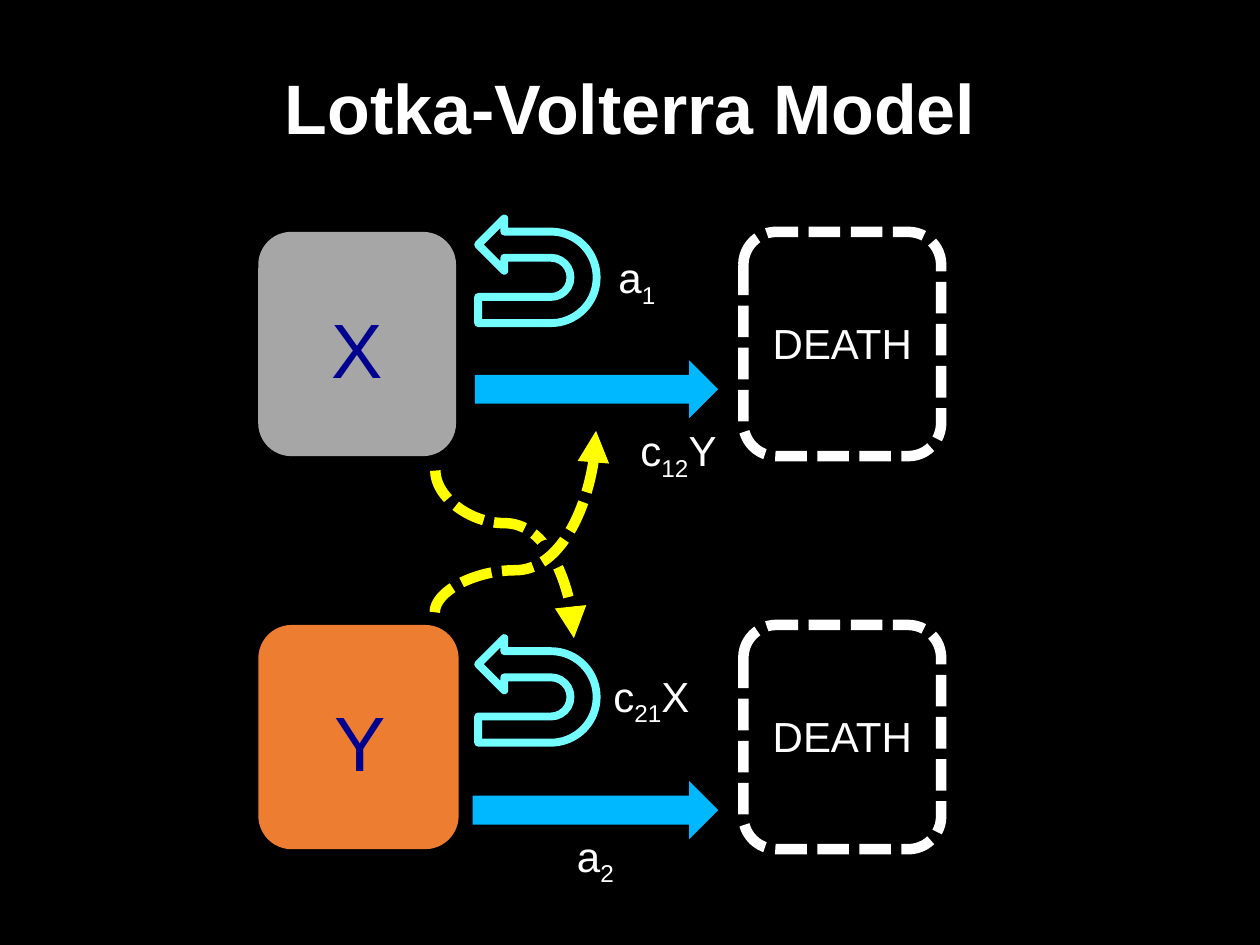
from pptx import Presentation
from pptx.dml.color import RGBColor
from pptx.enum import dml, shapes, text
from pptx.oxml import parse_xml
from pptx.oxml.ns import nsdecls, qn
from pptx.util import Inches, Pt

WHITE, BLACK, NAVY = "FFFFFF", "000000", "000090"
BLUE, CYAN, YELLOW = "00B8FF", "73FDFF", "FFFF00"
BOX_X, DEATH_X, BOX_W, BOX_H = 2.05, 5.9, 1.57, 1.78

# One row per species: name, box top, box width, fill, name left and width
species = [
    ("X", 1.84, 1.57, "A6A6A6", 1.57),
    ("Y", 4.96, 1.59, "ED7D31", 1.61),
]
death_arrows = [(3.77, 2.86, 1.93, 0.46), (3.75, 6.2, 1.95, 0.46)]
growth_arrows = [(3.85, 1.68, 0.83, 0.94), (3.85, 5.01, 0.83, 0.94)]
# Rates as (letter, subscript, factor) and their places
rates = [
    (("a", "1", ""), (4.8, 1.95, 0.51, 0.5)),
    (("a", "2", ""), (4.47, 6.54, 0.51, 0.5)),
    (("c", "12", "Y"), (4.96, 3.32, 0.85, 0.5)),
    (("c", "21", "X"), (4.75, 5.27, 0.84, 0.5)),
]
# Curves before rotation: begin, end, degrees, bend
x_on_y = ((4.67, 3.85), (3.34, 4.95), 270, 0.314)
y_on_x = ((4.81, 4.78), (3.37, 3.5), 90, 0.232)


def rgb(color):
    return RGBColor.from_string(color)


def add_shape(kind, at, fill=None, line=None, width=6, dash=None):
    sp = s.shapes.add_shape(kind, *map(Inches, at))
    sp.shadow.inherit = False
    if fill:
        sp.fill.solid()
        sp.fill.fore_color.rgb = rgb(fill)
    else:
        sp.fill.background()
    if line:
        sp.line.color.rgb = rgb(line)
        sp.line.width = Pt(width)
        sp.line.dash_style = dash
    else:
        sp.line.fill.background()
    return sp


def write(tf, parts, size=24, color=WHITE, bold=False):
    """Write the parts as centred runs; every second part is a subscript."""
    p = tf.paragraphs[0]
    p.alignment = text.PP_ALIGN.CENTER
    for i, part in enumerate(parts):
        if not part:
            continue
        r = p.add_run()
        r.text = part
        r.font.name, r.font.size, r.font.bold = "Arial", Pt(size), bold
        r.font.color.rgb = rgb(color)
        if i % 2:
            r.font._element.set("baseline", "-25000")


def add_text(at, parts, wrap=True, **fmt):
    tf = s.shapes.add_textbox(*map(Inches, at)).text_frame
    tf.word_wrap = wrap
    tf.auto_size = text.MSO_AUTO_SIZE.SHAPE_TO_FIT_TEXT
    write(tf, parts, **fmt)


def add_curve(begin, end, degrees, bend):
    c = s.shapes.add_connector(shapes.MSO_CONNECTOR.CURVE,
                               *map(Inches, begin + end))
    c.line.color.rgb = rgb(YELLOW)
    c.line.width = Pt(6)
    c.line.dash_style = dml.MSO_LINE.SQUARE_DOT
    pr = c._element.spPr
    pr.find(qn("a:xfrm")).set("rot", str(degrees * 60000))
    geom = pr.find(qn("a:prstGeom"))
    for old in list(geom):
        geom.remove(old)
    geom.append(parse_xml(
        f'<a:avLst {nsdecls("a")}><a:gd name="adj1" '
        f'fmla="val {round(bend * 100000)}"/></a:avLst>'))
    pr.find(qn("a:ln")).append(
        parse_xml(f'<a:tailEnd {nsdecls("a")} type="triangle"/>'))
    pr.append(parse_xml(f'<a:effectLst {nsdecls("a")}/>'))


prs = Presentation()
prs.slide_width, prs.slide_height = Inches(10), Inches(7.5)
s = prs.slides.add_slide(prs.slide_layouts[5])
s.background.fill.solid()
s.background.fill.fore_color.rgb = rgb(BLACK)

# Title
title = s.shapes.title
title.left, title.top, title.width, title.height = map(Inches, (0, 0.02, 10, 1.61))
tf = title.text_frame
tf.vertical_anchor = text.MSO_ANCHOR.MIDDLE
tf.margin_top, tf.margin_bottom = Inches(0.09), Inches(0.05)
write(tf, ["Lotka-Volterra Model"], size=40, bold=True)

# Species and their deaths
box = shapes.MSO_SHAPE.ROUNDED_RECTANGLE
for name, top, width, fill, name_w in species:
    add_shape(box, (BOX_X, top, width, BOX_H), fill=fill)
    add_text((BOX_X, top + 0.5, name_w, 0.84), [name], size=44, color=NAVY)
    add_shape(box, (DEATH_X, top, BOX_W, BOX_H), line=WHITE,
              dash=dml.MSO_LINE.SQUARE_DOT)
    add_text((DEATH_X, top + 0.63, BOX_W, 0.5), ["DEATH"])

# Death and growth arrows
for at in death_arrows:
    add_shape(shapes.MSO_SHAPE.RIGHT_ARROW, at, fill=BLUE)
for at in growth_arrows:
    sp = add_shape(shapes.MSO_SHAPE.U_TURN_ARROW, at, line=CYAN, width=4.5)
    sp.rotation = 270
    sp._element.spPr.find(qn("a:xfrm")).set("flipV", "1")
    for i, value in enumerate((0.25, 0.25, 0.25, 0.5, 1)):
        sp.adjustments[i] = value

# Interactions, with a gap where the curves cross
add_curve(*x_on_y)
add_shape(shapes.MSO_SHAPE.OVAL, (4.24, 4.28, 0.24, 0.24), fill=BLACK)
add_curve(*y_on_x)

# Rates
for parts, at in rates:
    add_text(at, parts, wrap=False)

prs.save("out.pptx")
